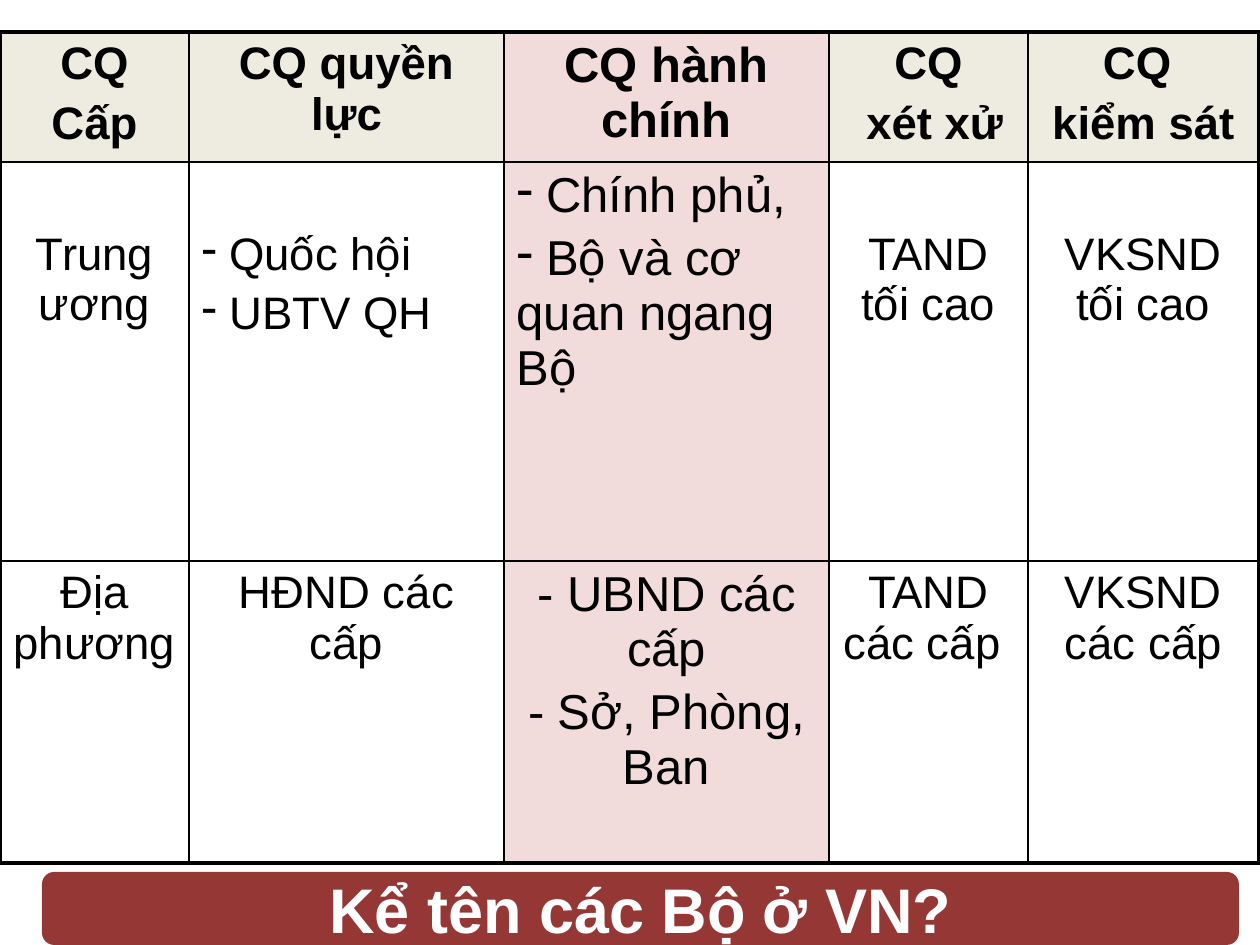
from dataclasses import dataclass
from typing import Any

from lxml.etree import SubElement
from pptx import Presentation
from pptx.dml.color import RGBColor
from pptx.enum.shapes import MSO_SHAPE as Shape
from pptx.enum.text import MSO_ANCHOR as Anchor, PP_ALIGN as Align
from pptx.oxml.ns import qn
from pptx.util import Emu, Pt

BLACK = RGBColor(0, 0, 0)
WHITE = RGBColor(255, 255, 255)
CREAM = RGBColor(0xEE, 0xEC, 0xE1)
PINK = RGBColor(0xF2, 0xDC, 0xDB)
MAROON = RGBColor(0x95, 0x37, 0x35)

COLUMNS = [189, 315, 325, 199, 231]
ROWS = [130, 399, 302]
EXECUTIVE = 2
AUTHORITIES = [
    [["CQ", "Cấp"], ["CQ quyền lực"], ["CQ hành chính"], ["CQ", " xét xử"], ["CQ ", "kiểm sát"]],
    [["Trung ương"], [" Quốc hội", " UBTV QH"], [" Chính phủ,", " Bộ và cơ quan ngang Bộ"],
     ["TAND tối cao"], ["VKSND tối cao"]],
    [["Địa phương"], ["HĐND các cấp"], ["- UBND các cấp", "- Sở, Phòng, Ban"],
     ["TAND các cấp "], ["VKSND các cấp"]],
]
LISTS = {(1, 1): Align.JUSTIFY, (1, EXECUTIVE): Align.LEFT}


def px(length):
    return Emu(round(length * 914400 / 126))


@dataclass
class Board:
    """Draws styled elements on the current slide."""

    slide: Any
    font: str = "Arial"
    space_before: float = 5

    def text(self, frame, lines, size, color, bold=False, align=Align.CENTER, bullet=None):
        frame.word_wrap = True
        for index, line in enumerate(lines):
            paragraph = frame.paragraphs[0] if index == 0 else frame.add_paragraph()
            paragraph.alignment = align
            if index:
                paragraph.space_before = Pt(self.space_before)
            if bullet:
                properties = paragraph._p.get_or_add_pPr()
                properties.set("marL", "0")
                properties.set("indent", "0")
                SubElement(properties, qn("a:buChar"), char=bullet)
            run = paragraph.add_run()
            run.text = line
            run.font.name = self.font
            run.font.size = Pt(size)
            run.font.bold = bold
            run.font.color.rgb = color

    def border(self, cell, outer_sides):
        properties = cell._tc.get_or_add_tcPr()
        for side in "LRTB":
            width = Pt(2.25 if side in outer_sides else 1)
            line = SubElement(properties, qn(f"a:ln{side}"), w=str(width))
            SubElement(SubElement(line, qn("a:solidFill")), qn("a:srgbClr"), val=str(BLACK))

    def table(self, left, top, columns, rows):
        frame = self.slide.shapes.add_table(
            len(rows), len(columns), px(left), px(top), px(sum(columns)), px(sum(rows)))
        grid = frame.table
        grid.first_row = grid.horz_banding = False
        for column, width in zip(grid.columns, columns):
            column.width = px(width)
        for row, height in zip(grid.rows, rows):
            row.height = px(height)
        return grid

    def cell(self, cell, lines, size, fill, outer_sides, **style):
        self.border(cell, outer_sides)
        if fill is None:
            cell.fill.background()
        else:
            cell.fill.solid()
            cell.fill.fore_color.rgb = fill
        self.text(cell.text_frame, lines, size, BLACK, **style)

    def banner(self, left, top, width, height, text):
        banner = self.slide.shapes.add_shape(
            Shape.ROUNDED_RECTANGLE, px(left), px(top), px(width), px(height))
        banner.shadow.inherit = False
        banner.fill.solid()
        banner.fill.fore_color.rgb = MAROON
        banner.line.fill.background()
        banner.text_frame.vertical_anchor = Anchor.MIDDLE
        self.text(banner.text_frame, [text], 36, WHITE, bold=True)


def main():
    deck = Presentation()
    deck.slide_width, deck.slide_height = px(1260), px(945)
    board = Board(deck.slides.add_slide(deck.slide_layouts[6]))
    grid = board.table(0, 32, COLUMNS, ROWS)
    last_row, last_column = len(ROWS) - 1, len(COLUMNS) - 1
    for r, level in enumerate(AUTHORITIES):
        for c, lines in enumerate(level):
            edges = {"L": c == 0, "R": c == last_column, "T": r == 0, "B": r == last_row}
            outer_sides = [side for side, outer in edges.items() if outer]
            executive = c == EXECUTIVE
            fill = PINK if executive else CREAM if r == 0 else None
            cell = grid.cell(r, c)
            if r == 1 and not executive:
                cell.margin_top = px(67)
            board.cell(cell, lines, 28 if executive else 26, fill, outer_sides, bold=r == 0,
                       align=LISTS.get((r, c), Align.CENTER),
                       bullet="-" if (r, c) in LISTS else None)
    board.banner(42, 872, 1197, 73, "Kể tên các Bộ ở VN?")
    deck.save("out.pptx")


if __name__ == "__main__":
    main()
